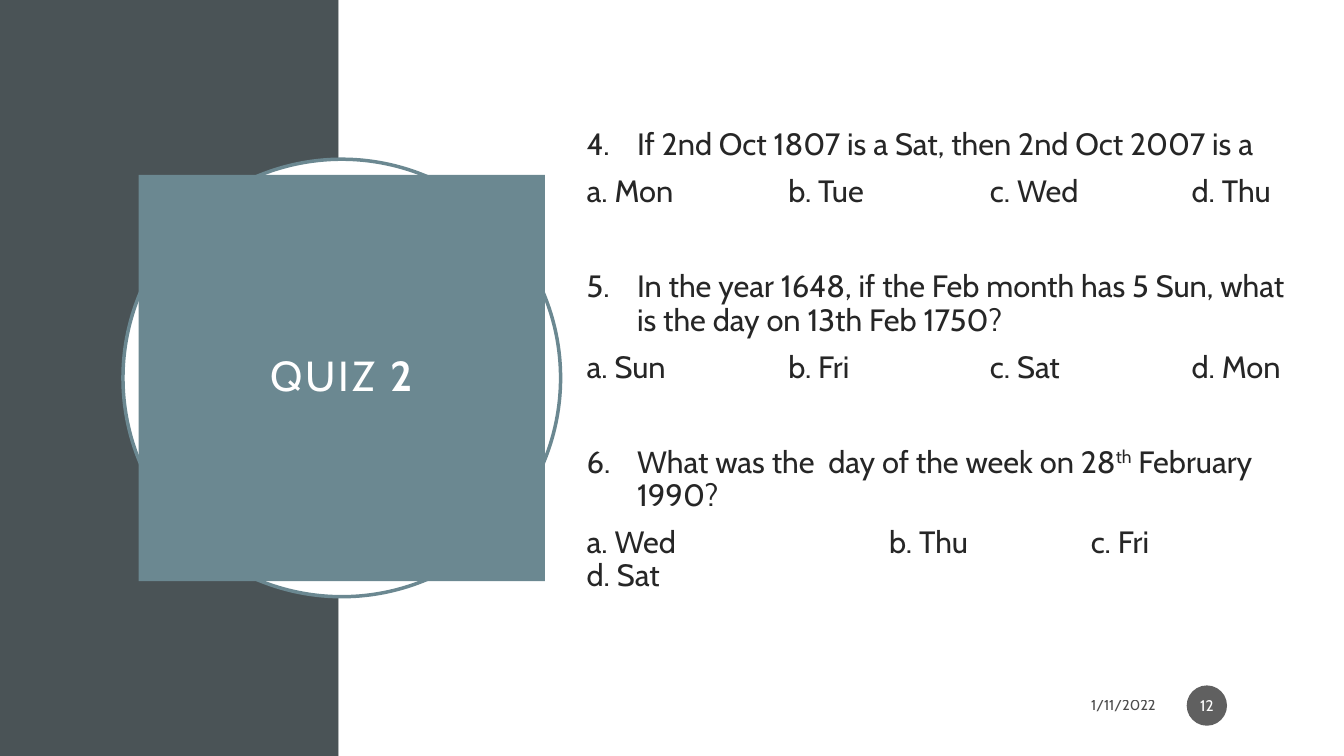
from pptx import Presentation
from pptx.dml.color import RGBColor
from pptx.enum.shapes import MSO_SHAPE
from pptx.enum.text import MSO_ANCHOR, PP_ALIGN
from pptx.oxml.ns import qn
from pptx.util import Inches, Pt
from lxml.etree import SubElement

FONT = "Cabin"
HUES = {"slate": "4A5356", "white": "FFFFFF", "teal": "6B8891",
        "ink": "262626", "dark": "1D1D1D", "black": "000000"}
TITLE = [("QUIZ ", False), ("2", True)]
QUIZ = [
    (4, [("If 2nd Oct 1807 is a Sat, then 2nd Oct 2007 is a", 0)],
     [["a. Mon", "b. Tue", "c. Wed", "d. Thu"]], (2, 4, 6)),
    (5, [("In the year 1648, if the Feb month has 5 Sun, what is the day on 13th Feb 1750?", 0)],
     [["a. Sun", "b. Fri", "c. Sat", "d. Mon"]], (2, 4, 6)),
    (6, [("What was the  day of the week on 28", 0), ("th", 30000), (" February 1990?", 0)],
     [["a. Wed", "b. Thu", "c. Fri"], ["d. Sat"]], (3, 5)),
]
DATE = "1/11/2022"
PAGE = "12"
WIDE, HIGH = 13.33, 7.5
SPLIT = 3.36
MID = (3.39, 3.75)
RING, TILE = 4.34, 4.03


def paint(color, hue, alpha=None):
    color.rgb = RGBColor.from_string(HUES[hue])
    if alpha:
        node = color._xFill.find(qn("a:srgbClr"))
        SubElement(node, qn("a:alpha"), val=str(alpha * 1000))


def add_form(kind, box, hue, edge=None, alpha=None):
    form = slide.shapes.add_shape(kind, *map(Inches, box))
    form.shadow.inherit = False
    form.fill.solid()
    paint(form.fill.fore_color, hue, alpha)
    if edge:
        paint(form.line.color, edge)
        form.line.width = Pt(2.5)
    else:
        form.line.fill.background()
    return form


def set_frame(form, pads=(0.1, 0.05)):
    frame = form.text_frame
    frame.word_wrap = True
    frame.vertical_anchor = MSO_ANCHOR.MIDDLE
    frame.margin_left = frame.margin_right = Inches(pads[0])
    frame.margin_top = frame.margin_bottom = Inches(pads[1])
    return frame


def add_text(box, pads=(0.1, 0.05)):
    return set_frame(slide.shapes.add_textbox(*map(Inches, box)), pads)


def add_run(para, text, size, hue, bold=False, alpha=None):
    run = para.add_run()
    run.text = text
    run.font.name = FONT
    run.font.size = Pt(size)
    run.font.bold = bold
    run.font.fill.solid()
    paint(run.font.fill.fore_color, hue, alpha)
    return run


def add_para(frame, first, gap):
    para = frame.paragraphs[0] if first else frame.add_paragraph()
    para.line_spacing = 0.9
    para.space_before = Pt(0 if first else gap)
    return para


def around(size):
    return (MID[0] - size / 2, MID[1] - size / 2, size, size)


deck = Presentation()
deck.slide_width, deck.slide_height = Inches(WIDE), Inches(HIGH)
slide = deck.slides.add_slide(deck.slide_layouts[6])

add_form(MSO_SHAPE.RECTANGLE, (0, 0, SPLIT, HIGH), "slate")
add_form(MSO_SHAPE.RECTANGLE, (SPLIT, 0, WIDE - SPLIT, HIGH), "white")
add_form(MSO_SHAPE.OVAL, around(RING), "white", "teal")
tile = add_form(MSO_SHAPE.RECTANGLE, around(TILE), "teal")
head = add_para(set_frame(tile, (0.2, 0.2)), True, 0)
head.alignment = PP_ALIGN.CENTER
for text, bold in TITLE:
    run = add_run(head, text, 30, "white", bold)
    run.font._element.set("spc", "200")

body = add_text((5.72, 0.93, 7.25, 5.31))
for spot, (number, ask, rows, stops) in enumerate(QUIZ):
    para = add_para(body, spot == 0, 44)
    props = para._p.get_or_add_pPr()
    props.set("marL", str(Inches(0.5)))
    props.set("indent", str(Inches(-0.5)))
    SubElement(props, qn("a:buFont"), typeface="+mj-lt")
    SubElement(props, qn("a:buAutoNum"), type="arabicPeriod", startAt=str(number))
    for text, lift in ask:
        run = add_run(para, text, 22, "ink")
        if lift:
            run.font._element.set("baseline", str(lift))

    para = add_para(body, False, 10)
    props = para._p.get_or_add_pPr()
    SubElement(props, qn("a:buNone"))
    tabs = SubElement(props, qn("a:tabLst"))
    for stop in stops:
        SubElement(tabs, qn("a:tab"), pos=str(Inches(stop)), algn="l")
    for line, row in enumerate(rows):
        if line:
            para.add_line_break()
        add_run(para, "\t".join(row), 22, "ink")

badge = add_form(MSO_SHAPE.OVAL, (11.77, 6.8, 0.4, 0.4), "dark", alpha=70)
para = set_frame(badge, (0.02, 0.05)).paragraphs[0]
para.alignment = PP_ALIGN.CENTER
add_run(para, PAGE, 11, "white")

para = add_text((8.55, 6.82, 3.01, 0.35)).paragraphs[0]
para.alignment = PP_ALIGN.RIGHT
add_run(para, DATE, 10.5, "black", alpha=70)

deck.save("out.pptx")
